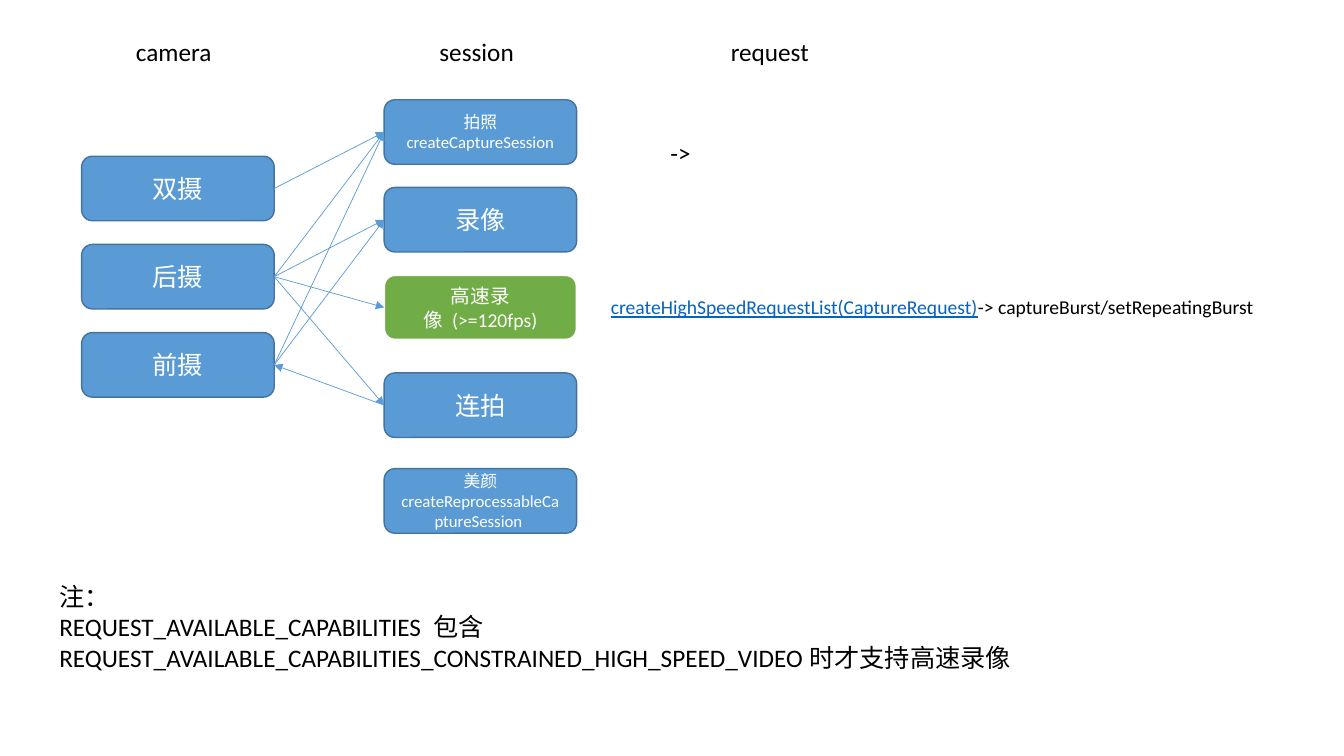
"""Build the slide that maps cameras to capture sessions and requests."""
from lxml import etree
from pptx import Presentation
from pptx.dml.color import RGBColor
from pptx.enum import shapes as kinds, text as t
from pptx.oxml.ns import qn
from pptx.util import Inches, Pt

BLUE = RGBColor(0x5B, 0x9B, 0xD5)
DARK_BLUE = RGBColor(0x43, 0x73, 0x9E)
GREEN = RGBColor(0x70, 0xAD, 0x47)
LINK_BLUE = RGBColor(0x05, 0x63, 0xC1)
WHITE = RGBColor(0xFF, 0xFF, 0xFF)
BLACK = RGBColor(0, 0, 0)

HEADINGS = [("camera", 1.25), ("session", 4.26), ("request", 7.15)]
CAMERAS = ["双摄", "后摄", "前摄"]
SESSIONS = [
    ("拍照", ["拍照", "createCaptureSession"], 0.99, 12),
    ("录像", ["录像"], 1.86, 18),
    ("高速", ["高速录像\u00a0(>=120fps)"], 2.73, 14),
    ("连拍", ["连拍"], 3.7, 18),
    ("美颜", ["美颜", "createReprocessableCaptureSession "], 4.65, 12),
]
SUPPORTED = {"双摄": ["拍照"], "后摄": ["拍照", "录像", "高速", "连拍"], "前摄": ["拍照", "录像"]}
NOTE = [
    "注：",
    "REQUEST_AVAILABLE_CAPABILITIES 包含 "
    "REQUEST_AVAILABLE_CAPABILITIES_CONSTRAINED_HIGH_SPEED_VIDEO时才支持高速录像",
]
HIGH_SPEED_CALL = [
    ("createHighSpeedRequestList(CaptureRequest)", LINK_BLUE, True),
    ("-> captureBurst/setRepeatingBurst", BLACK, False),
]

CAMERA_LEFT, CAMERA_TOP, CAMERA_STEP = 0.81, 1.55, 0.875
SESSION_LEFT = 3.81
BOX_WIDTH, BOX_HEIGHT = 1.91, 0.64
LEFT_SITE, RIGHT_SITE = 1, 3

deck = Presentation()
deck.slide_width, deck.slide_height = Inches(13.33), Inches(7.5)
slide = deck.slides.add_slide(deck.slide_layouts[6])


def write(frame, paragraphs, size=18, color=BLACK, align=t.PP_ALIGN.LEFT, wrap=True):
    """Fill a frame with paragraphs, each a string or a list of (words, color, underline)."""
    frame.word_wrap = wrap
    for index, content in enumerate(paragraphs):
        paragraph = frame.add_paragraph() if index else frame.paragraphs[0]
        paragraph.alignment = align
        runs = [(content, color, False)] if isinstance(content, str) else content
        for words, run_color, underline in runs:
            run = paragraph.add_run()
            run.text = words
            run.font.name, run.font.size = "Calibri", Pt(size)
            run.font.color.rgb = run_color
            run.font.underline = underline


def add_label(paragraphs, left, top, width, height, **style):
    label = slide.shapes.add_textbox(*map(Inches, (left, top, width, height)))
    write(label.text_frame, paragraphs, **style)


def add_box(paragraphs, left, top, size=18, fill=BLUE, border=DARK_BLUE, weight=1):
    box = slide.shapes.add_shape(kinds.MSO_SHAPE.ROUNDED_RECTANGLE,
                                 *map(Inches, (left, top, BOX_WIDTH, BOX_HEIGHT)))
    box.shadow.inherit = False
    box.fill.solid()
    box.fill.fore_color.rgb = fill
    box.line.color.rgb, box.line.width = border, Pt(weight)
    box.text_frame.vertical_anchor = t.MSO_ANCHOR.MIDDLE
    write(box.text_frame, paragraphs, size, WHITE, t.PP_ALIGN.CENTER)
    return box


def add_arrow(source, source_site, target, target_site):
    arrow = slide.shapes.add_connector(kinds.MSO_CONNECTOR.STRAIGHT, 0, 0, 0, 0)
    arrow.begin_connect(source, source_site)
    arrow.end_connect(target, target_site)
    arrow.line.color.rgb, arrow.line.width = BLUE, Pt(0.5)
    etree.SubElement(arrow.line._get_or_add_ln(), qn("a:tailEnd"), type="triangle")
    etree.SubElement(arrow._element.spPr, qn("a:effectLst"))


sessions = {}
for key, lines, top, size in SESSIONS:
    accent = dict(fill=GREEN, border=WHITE, weight=1.5) if key == "高速" else {}
    sessions[key] = add_box(lines, SESSION_LEFT, top, size, **accent)

cameras = {name: add_box([name], CAMERA_LEFT, CAMERA_TOP + row * CAMERA_STEP)
           for row, name in enumerate(CAMERAS)}

for camera, targets in SUPPORTED.items():
    for target in targets:
        add_arrow(cameras[camera], RIGHT_SITE, sessions[target], LEFT_SITE)
add_arrow(sessions["连拍"], LEFT_SITE, cameras["前摄"], RIGHT_SITE)

for heading, left in HEADINGS:
    add_label([heading], left, 0.31, 1.24, 0.4)
add_label(NOTE, 0.49, 5.72, 11.7, 1.01)
add_label([HIGH_SPEED_CALL], 5.96, 2.88, 6.65, 0.34, size=14, wrap=False)
add_label(["->"], 6.55, 1.31, 6.06, 0.4)

deck.save("out.pptx")
